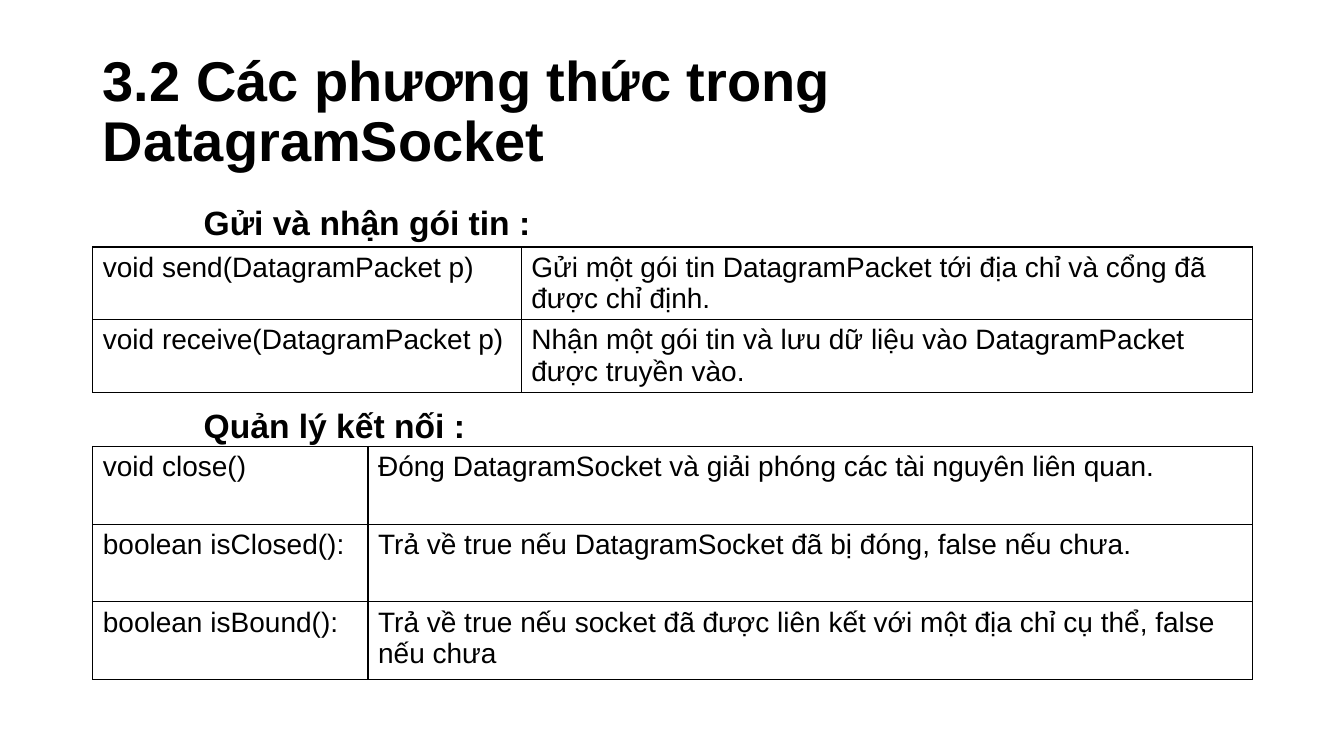
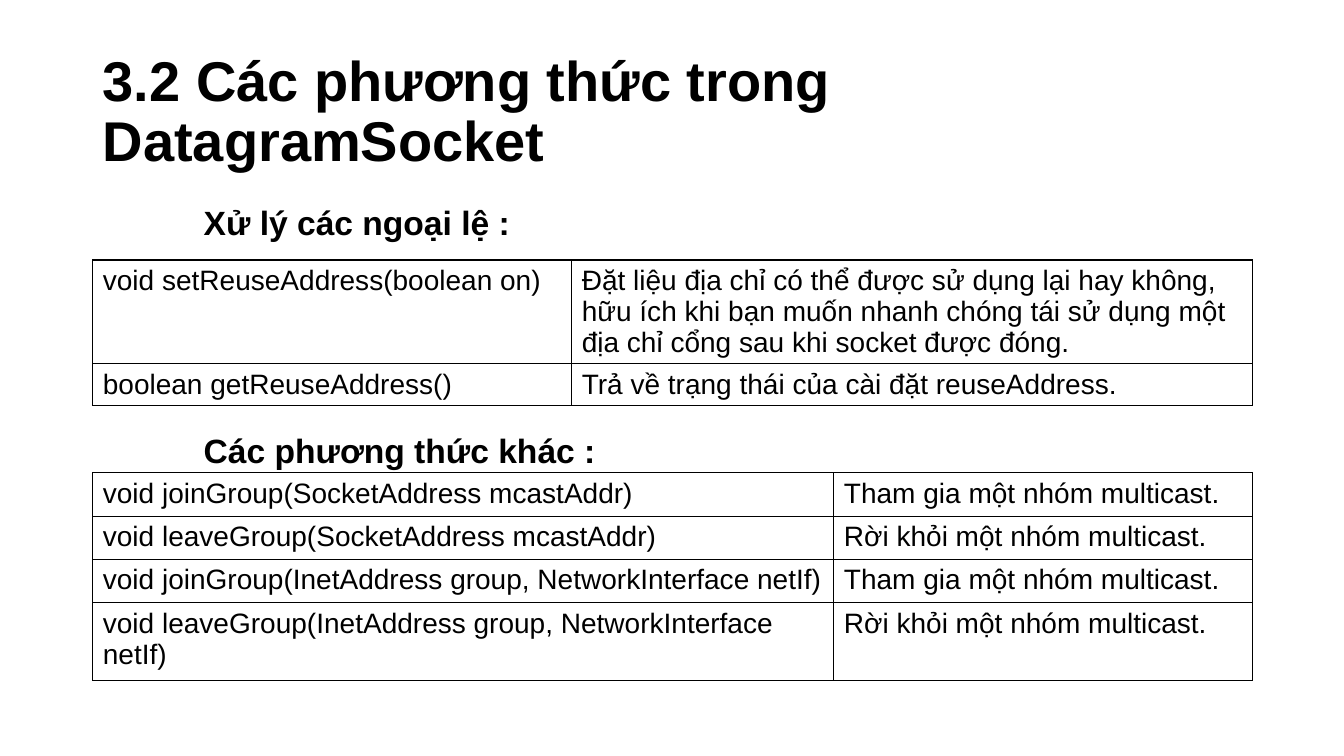
"""Build two slides on the methods of DatagramSocket."""
from dataclasses import dataclass

from lxml import etree
from pptx import Presentation
from pptx.dml.color import RGBColor
from pptx.enum import text as text_enum
from pptx.oxml import ns
from pptx.util import Inches, Pt


@dataclass(frozen=True)
class Theme:
    font: str = "Arial"
    ink: str = "000000"
    paper: str = "FFFFFF"
    title_size: int = 40
    heading_size: int = 24
    cell_size: int = 20
    border: int = 1
    line_spacing: float = 0.9


THEME = Theme()
LEFT, WIDTH = 0.92, 11.5
TITLE_BOX = (LEFT, 0.4, WIDTH, 1.45)
BODY_BOX = (LEFT, 2, WIDTH, 4.76)
HEADING_INDENT = 1
TITLE = "3.2 Các phương thức trong DatagramSocket"

SLIDES = [
    [
        {"heading": "Gửi và nhận gói tin :", "space_before": 0,
         "top": 2.45, "first_column": 4.25, "row_heights": [0.72, 0.72],
         "rows": [
             ("void send(DatagramPacket p)",
              "Gửi một gói tin DatagramPacket tới địa chỉ và cổng đã được chỉ định."),
             ("void receive(DatagramPacket p)",
              "Nhận một gói tin và lưu dữ liệu vào DatagramPacket được truyền vào."),
         ]},
        {"heading": "Quản lý kết nối :", "space_before": 119,
         "top": 4.43, "first_column": 2.73, "row_heights": [0.77, 0.77, 0.77],
         "rows": [
             ("void close()",
              "Đóng DatagramSocket và giải phóng các tài nguyên liên quan."),
             ("boolean isClosed():",
              "Trả về true nếu DatagramSocket đã bị đóng, false nếu chưa."),
             ("boolean isBound():",
              "Trả về true nếu socket đã được liên kết với một địa chỉ cụ thể, false nếu chưa"),
         ]},
    ],
    [
        {"heading": "Xử lý các ngoại lệ :", "space_before": 0,
         "top": 2.58, "first_column": 4.75, "row_heights": [1.03, 0.41],
         "rows": [
             ("void setReuseAddress(boolean on)",
              "Đặt liệu địa chỉ có thể được sử dụng lại hay không, hữu ích khi bạn muốn "
              "nhanh chóng tái sử dụng một địa chỉ cổng sau khi socket được đóng."),
             ("boolean getReuseAddress()",
              "Trả về trạng thái của cài đặt reuseAddress."),
         ]},
        {"heading": "Các phương thức khác :", "space_before": 137,
         "top": 4.69, "first_column": 7.35, "row_heights": [0.43, 0.43, 0.43, 0.77],
         "rows": [
             ("void joinGroup(SocketAddress mcastAddr)", "Tham gia một nhóm multicast."),
             ("void leaveGroup(SocketAddress mcastAddr)", "Rời khỏi một nhóm multicast."),
             ("void joinGroup(InetAddress group, NetworkInterface netIf)",
              "Tham gia một nhóm multicast."),
             ("void leaveGroup(InetAddress group, NetworkInterface netIf)",
              "Rời khỏi một nhóm multicast."),
         ]},
    ],
]


def write(paragraph, content, *, size, bold=False, line_spacing=1.0, space_before=0, indent=None):
    if indent is not None:
        properties = paragraph._p.get_or_add_pPr()
        properties.set("marL", str(Inches(indent)))
        properties.set("indent", "0")
        etree.SubElement(properties, ns.qn("a:buNone"))
    paragraph.alignment = text_enum.PP_ALIGN.LEFT
    paragraph.line_spacing = line_spacing
    paragraph.space_before = Pt(space_before)
    run = paragraph.add_run()
    run.text = content
    run.font.name = THEME.font
    run.font.size = Pt(size)
    run.font.bold = bold
    run.font.color.rgb = RGBColor.from_string(THEME.ink)


def place(shape, box):
    shape.left, shape.top, shape.width, shape.height = map(Inches, box)


def prepare_layout(presentation):
    layout = presentation.slide_layouts.get_by_name("Title and Content")
    layout.background.fill.solid()
    layout.background.fill.fore_color.rgb = RGBColor.from_string(THEME.paper)
    for index, box in enumerate((TITLE_BOX, BODY_BOX)):
        place(layout.placeholders[index], box)
    return layout


def outline(cell):
    properties = cell._tc.get_or_add_tcPr()
    for side in "LRTB":
        line = etree.SubElement(properties, ns.qn(f"a:ln{side}"), w=str(Pt(THEME.border)))
        fill = etree.SubElement(line, ns.qn("a:solidFill"))
        etree.SubElement(fill, ns.qn("a:srgbClr"), val=THEME.ink)
    cell.fill.background()


def add_method_table(slide, section):
    rows, heights = section["rows"], section["row_heights"]
    box = (LEFT, section["top"], WIDTH, sum(heights))
    table = slide.shapes.add_table(len(rows), 2, *map(Inches, box)).table
    table.first_row = table.horz_banding = False
    table.columns[0].width = Inches(section["first_column"])
    table.columns[1].width = Inches(WIDTH - section["first_column"])
    for row, height, contents in zip(table.rows, heights, rows):
        row.height = Inches(height)
        for cell, content in zip(row.cells, contents):
            outline(cell)
            write(cell.text_frame.paragraphs[0], content, size=THEME.cell_size)


def add_slide(presentation, layout, sections):
    slide = presentation.slides.add_slide(layout)
    title = slide.shapes.title.text_frame
    body = slide.placeholders[1].text_frame
    for frame in (title, body):
        frame.auto_size = text_enum.MSO_AUTO_SIZE.NONE
    title.vertical_anchor = text_enum.MSO_ANCHOR.MIDDLE
    write(title.paragraphs[0], TITLE, size=THEME.title_size, bold=True,
          line_spacing=THEME.line_spacing)
    for index, section in enumerate(sections):
        paragraph = body.add_paragraph() if index else body.paragraphs[0]
        write(paragraph, section["heading"], size=THEME.heading_size, bold=True,
              line_spacing=THEME.line_spacing, space_before=section["space_before"],
              indent=HEADING_INDENT)
        add_method_table(slide, section)


def main():
    presentation = Presentation()
    presentation.slide_width, presentation.slide_height = Inches(13.33), Inches(7.5)
    layout = prepare_layout(presentation)
    for sections in SLIDES:
        add_slide(presentation, layout, sections)
    presentation.save("out.pptx")


if __name__ == "__main__":
    main()
